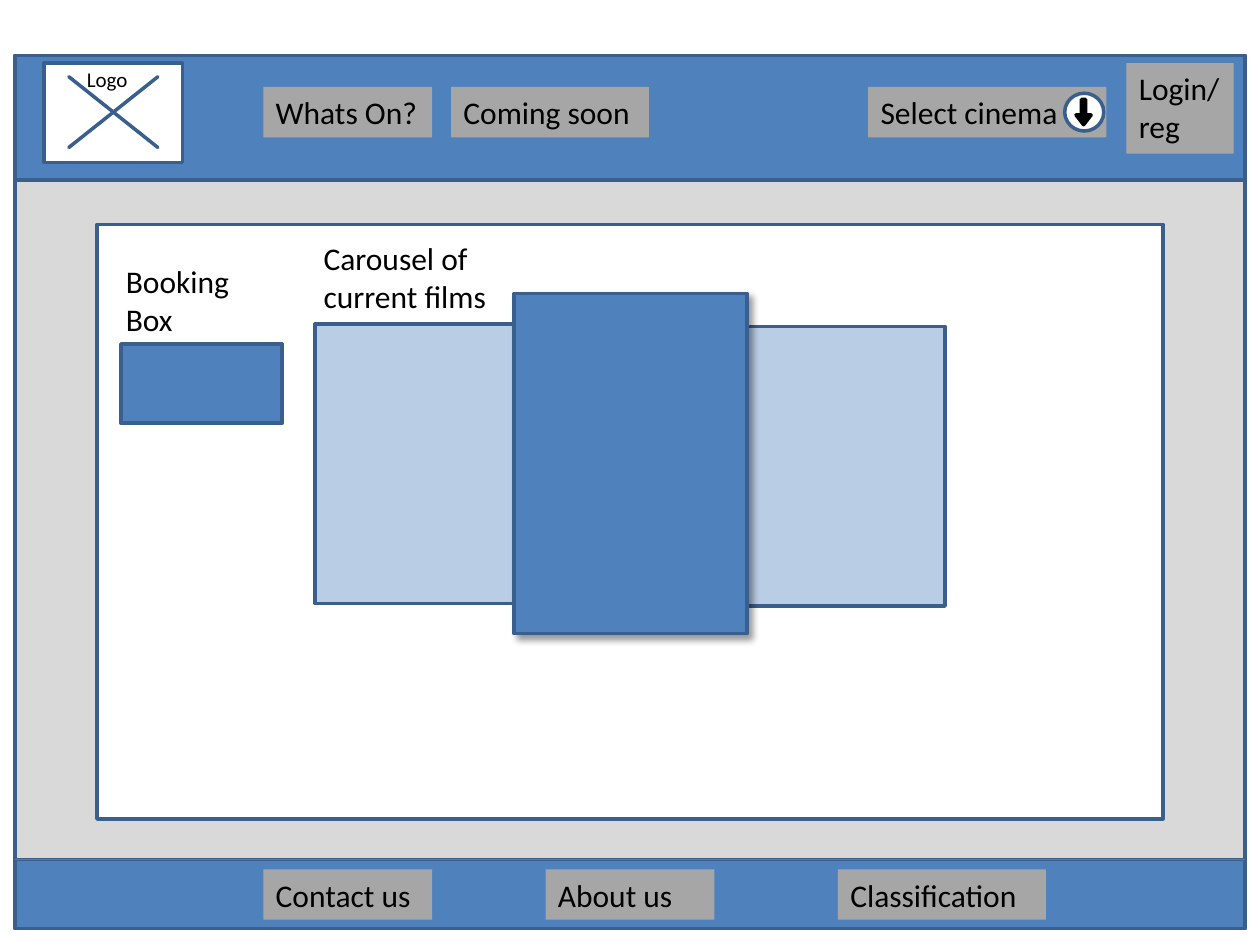
from lxml import etree
from pptx import Presentation
from pptx.dml.color import RGBColor
from pptx.enum import shapes, text
from pptx.oxml import ns
from pptx.util import Inches, Pt

BLUE = RGBColor(0x4F, 0x81, 0xBD)
OUTLINE = RGBColor(0x3A, 0x5F, 0x8C)
RULE = RGBColor(0x4B, 0x7E, 0xBC)
PALE_BLUE = RGBColor(0xB9, 0xCD, 0xE5)
PAGE_GREY = RGBColor(0xD9, 0xD9, 0xD9)
BUTTON_GREY = RGBColor(0xA6, 0xA6, 0xA6)
WHITE = RGBColor(0xFF, 0xFF, 0xFF)
BLACK = RGBColor(0, 0, 0)
PRESET = shapes.MSO_SHAPE


def add_panel(slide, box, fill, outline=OUTLINE, preset=PRESET.RECTANGLE):
    """Add a flat filled shape; an outline of None leaves the edge bare."""
    shape = slide.shapes.add_shape(preset, *map(Inches, box))
    shape.shadow.inherit = False
    shape.fill.solid()
    shape.fill.fore_color.rgb = fill
    if outline is None:
        shape.line.fill.background()
    else:
        shape.line.color.rgb = outline
        shape.line.width = Pt(2)
    return shape


def write(shape, wording, size=18):
    """Write left-aligned black text in a shape."""
    frame = shape.text_frame
    frame.word_wrap = True
    frame.auto_size = text.MSO_AUTO_SIZE.SHAPE_TO_FIT_TEXT
    frame.vertical_anchor = text.MSO_ANCHOR.TOP
    paragraph = frame.paragraphs[0]
    paragraph.text = wording
    paragraph.alignment = text.PP_ALIGN.LEFT
    paragraph.font.name = "Calibri"
    paragraph.font.size = Pt(size)
    paragraph.font.color.rgb = BLACK


def add_label(slide, box, wording, size=18):
    """Add a plain text label."""
    write(slide.shapes.add_textbox(*map(Inches, box)), wording, size)


def add_buttons(slide, left, top, buttons):
    """Add a row of grey buttons given as (offset, width, wording)."""
    for offset, width, wording in buttons:
        box = (left + offset, top, width, 0.4)
        write(add_panel(slide, box, BUTTON_GREY, None), wording)


def add_shadow(shape):
    """Cast a soft shadow to the lower right."""
    effects = shape._element.spPr.find(ns.qn("a:effectLst"))
    shadow = etree.SubElement(
        effects, ns.qn("a:outerShdw"), blurRad=str(Pt(4)), dist=str(Pt(3)),
        dir="2700000", algn="tl", rotWithShape="0")
    color = etree.SubElement(shadow, ns.qn("a:srgbClr"), val=str(BLACK))
    etree.SubElement(color, ns.qn("a:alpha"), val="40000")


def add_logo(slide, left, top):
    """Add the crossed-out logo placeholder."""
    add_panel(slide, (left, top, 1.1, 0.79), WHITE)
    cross = add_panel(slide, (left - 0.13, top - 0.15, 1.36, 1.08), BLUE,
                      preset=PRESET.MATH_MULTIPLY)
    cross.adjustments[0] = 0
    add_label(slide, (left + 0.24, top - 0.02, 0.75, 0.3), "Logo", 12)


def add_header(slide, left, top, width):
    """Add the top bar with logo, navigation, cinema picker and login."""
    add_panel(slide, (left, top, width, 0.99), BLUE)
    add_logo(slide, left + 0.23, top + 0.06)
    add_buttons(slide, left, top + 0.25, [
        (1.97, 1.34, "Whats On?"),
        (3.46, 1.57, "Coming soon"),
        (6.77, 1.89, "Select cinema"),
    ])
    add_panel(slide, (left + 8.33, top + 0.3, 0.31, 0.3), WHITE,
              preset=PRESET.FLOWCHART_CONNECTOR)
    arrow = add_panel(slide, (left + 8.38, top + 0.39, 0.2, 0.12), BLACK,
                      BLACK, PRESET.RIGHT_ARROW)
    arrow.rotation = 90
    arrow.adjustments[0] = 0.285
    arrow.adjustments[1] = 0.642
    login = add_panel(slide, (left + 8.82, top + 0.06, 0.85, 0.72),
                      BUTTON_GREY, None)
    write(login, "Login/reg")


def add_footer(slide, left, top, width):
    """Add the bottom bar with its rule and links."""
    add_panel(slide, (left, top, width, 0.55), BLUE)
    rule = slide.shapes.add_connector(
        shapes.MSO_CONNECTOR.STRAIGHT, Inches(left), Inches(top),
        Inches(left + width), Inches(top))
    rule.line.color.rgb = RULE
    rule.line.width = Pt(0.75)
    etree.SubElement(rule._element.spPr, ns.qn("a:effectLst"))
    add_buttons(slide, left, top + 0.08, [
        (1.97, 1.34, "Contact us"),
        (4.21, 1.34, "About us"),
        (6.53, 1.65, "Classification"),
    ])


def add_carousel(slide, left, top):
    """Add the film carousel: two pale side cards behind a raised one."""
    add_panel(slide, (left + 3.18, top + 0.74, 1.85, 2.22), PALE_BLUE)
    add_panel(slide, (left + 0.03, top + 0.72, 1.85, 2.22), PALE_BLUE)
    add_shadow(add_panel(slide, (left + 1.61, top + 0.48, 1.85, 2.7), BLUE))
    add_label(slide, (left, top, 1.57, 0.71), "Carousel of current films")


def add_booking(slide, left, top):
    """Add the booking box under its label."""
    add_panel(slide, (left + 0.06, top + 0.7, 1.28, 0.63), BLUE)
    add_label(slide, (left, top, 1.42, 0.71), "Booking Box")


def add_content(slide, left, top):
    """Add the white content area with carousel and booking box."""
    add_panel(slide, (left, top, 8.46, 4.72), WHITE)
    add_carousel(slide, left + 1.7, top + 0.07)
    add_booking(slide, left + 0.13, top + 0.25)


def add_wireframe(slide, left, top, width, height):
    """Add the whole home page wireframe inside the given box."""
    add_panel(slide, (left, top, width, height), PAGE_GREY)
    add_footer(slide, left, top + height - 0.55, width)
    add_header(slide, left, top, width)
    add_content(slide, left + 0.65, top + 1.34)


presentation = Presentation()
presentation.slide_width = Inches(10)
presentation.slide_height = Inches(7.5)
home_page = presentation.slides.add_slide(presentation.slide_layouts[6])
add_wireframe(home_page, 0.12, 0.44, 9.76, 6.93)
presentation.save("out.pptx")
